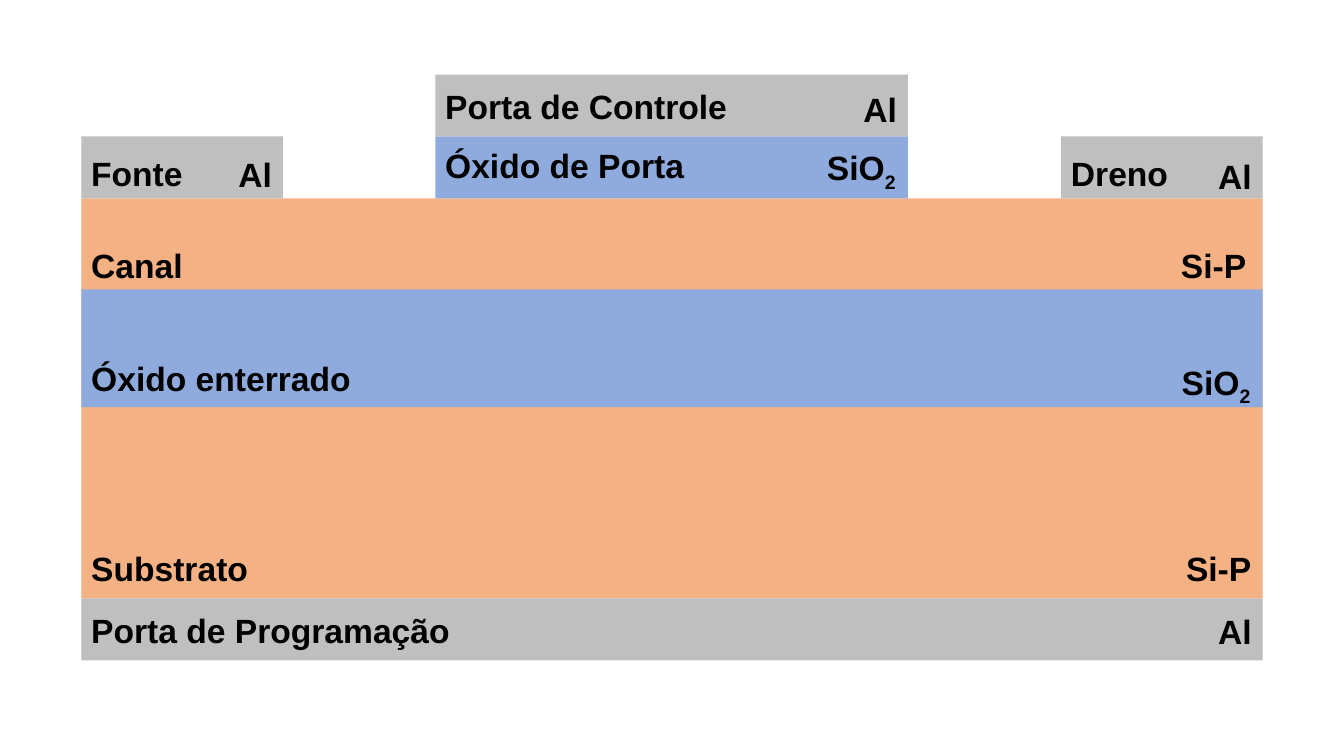
"""Build a slide with the layered cross-section of a transistor."""
from pptx import Presentation
from pptx.dml.color import RGBColor
from pptx.enum.shapes import MSO_SHAPE
from pptx.enum.text import MSO_AUTO_SIZE
from pptx.util import Cm, Pt

COLOURS = {"metal": "BFBFBF", "oxide": "8FAADC", "silicon": "F4B183", "text": "000000"}
FONT_FORMAT = {"name": "Arial", "size": Pt(24), "bold": True}
FRAME_FORMAT = {"word_wrap": False, "auto_size": MSO_AUTO_SIZE.SHAPE_TO_FIT_TEXT}
MATERIALS = {
    "metal": ("Al", "", 1.37),
    "oxide": ("SiO", "2", 2.29),
    "silicon": ("Si-P", "", 2.18),
}
TEXT_HEIGHT = 1.27
LEFT, FULL_WIDTH = 2.05, 29.77
CONTACT_WIDTH, CONTACT_HEIGHT = 5.08, 1.56
GATE_LEFT, GATE_WIDTH = 10.97, 11.91
DRAIN_LEFT = LEFT + FULL_WIDTH - CONTACT_WIDTH

# Each layer: label, label width, label top, material, material top, right gap, left, top, width, height
LAYERS = [
    ("Canal", 2.84, 6.05, "silicon", 6.05, 0.13, LEFT, 5, FULL_WIDTH, 4.95),
    ("Substrato", 4.5, 13.69, "silicon", 13.69, 0, LEFT, 9.94, FULL_WIDTH, 5.14),
    ("Óxido enterrado", 7.11, 8.89, "oxide", 8.99, 0, LEFT, 7.29, FULL_WIDTH, 2.97),
    ("Dreno", 2.97, 3.73, "metal", 3.81, 0, DRAIN_LEFT, 3.44, CONTACT_WIDTH, CONTACT_HEIGHT),
    ("Fonte", 2.84, 3.73, "metal", 3.76, 0, LEFT, 3.44, CONTACT_WIDTH, CONTACT_HEIGHT),
    ("Óxido de Porta", 6.58, 3.53, "oxide", 3.58, 0, GATE_LEFT, 3.44, GATE_WIDTH, CONTACT_HEIGHT),
    ("Porta de Programação", 9.63, 15.24, "metal", 15.27, 0, LEFT, 15.08, FULL_WIDTH, CONTACT_HEIGHT),
    ("Porta de Controle", 7.67, 2.03, "metal", 2.11, 0, GATE_LEFT, 1.88, GATE_WIDTH, CONTACT_HEIGHT),
]


def add_label(slide, left, top, width, text, subscript=""):
    box = slide.shapes.add_textbox(Cm(left), Cm(top), Cm(width), Cm(TEXT_HEIGHT))
    for name, value in FRAME_FORMAT.items():
        setattr(box.text_frame, name, value)
    para = box.text_frame.paragraphs[0]
    for words, baseline in ((text, "0"), (subscript, "-25000")):
        if words:
            span = para.add_run()
            span.text = words
            for name, value in FONT_FORMAT.items():
                setattr(span.font, name, value)
            span.font.color.rgb = RGBColor.from_string(COLOURS["text"])
            span._r.get_or_add_rPr().set("baseline", baseline)


deck = Presentation()
deck.slide_width, deck.slide_height = Cm(33.87), Cm(19.05)
page = deck.slides.add_slide(deck.slide_layouts[6])

for *_, material, _, _, left, top, width, height in LAYERS:
    layer = page.shapes.add_shape(MSO_SHAPE.RECTANGLE, Cm(left), Cm(top), Cm(width), Cm(height))
    layer.shadow.inherit = False
    layer.fill.solid()
    layer.fill.fore_color.rgb = RGBColor.from_string(COLOURS[material])
    layer.line.fill.background()

for label, label_width, label_top, material, material_top, gap, left, _, width, _ in LAYERS:
    add_label(page, left, label_top, label_width, label)
    formula, subscript, formula_width = MATERIALS[material]
    formula_left = left + width - formula_width - gap
    add_label(page, formula_left, material_top, formula_width, formula, subscript)

deck.save("out.pptx")
